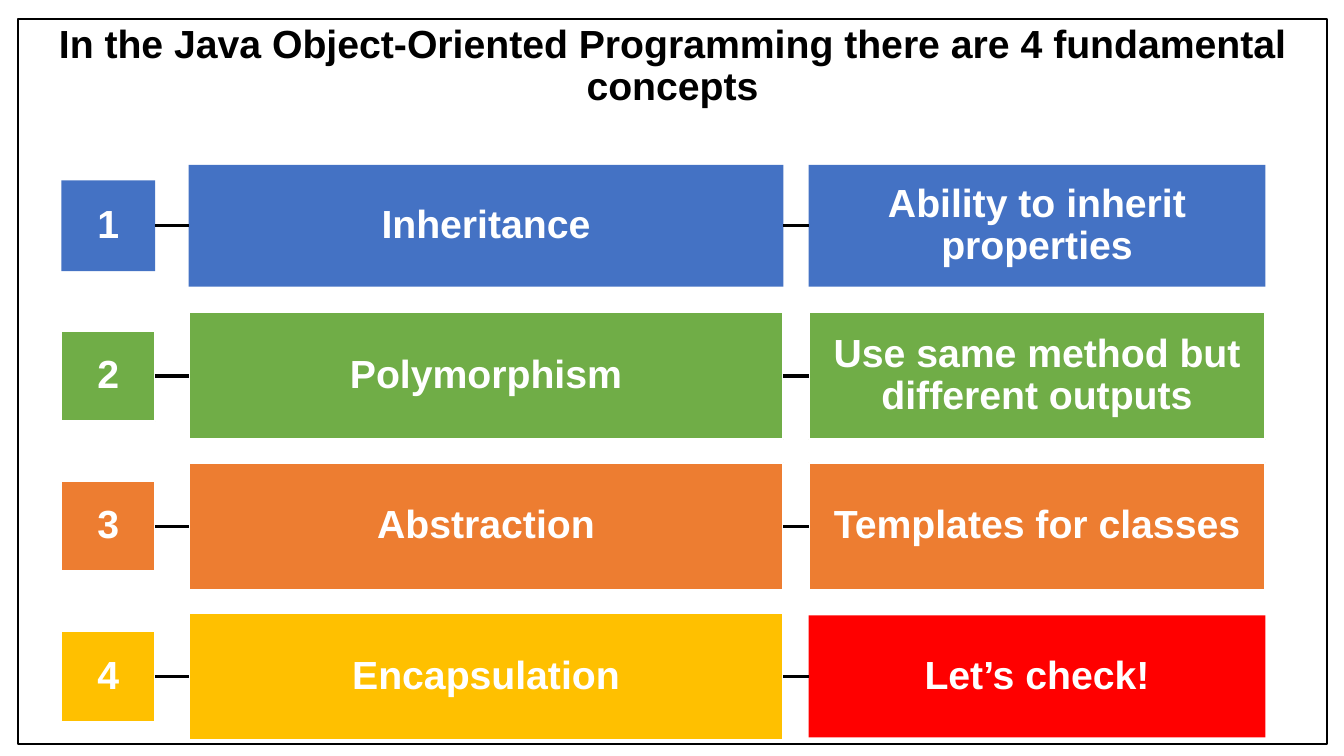
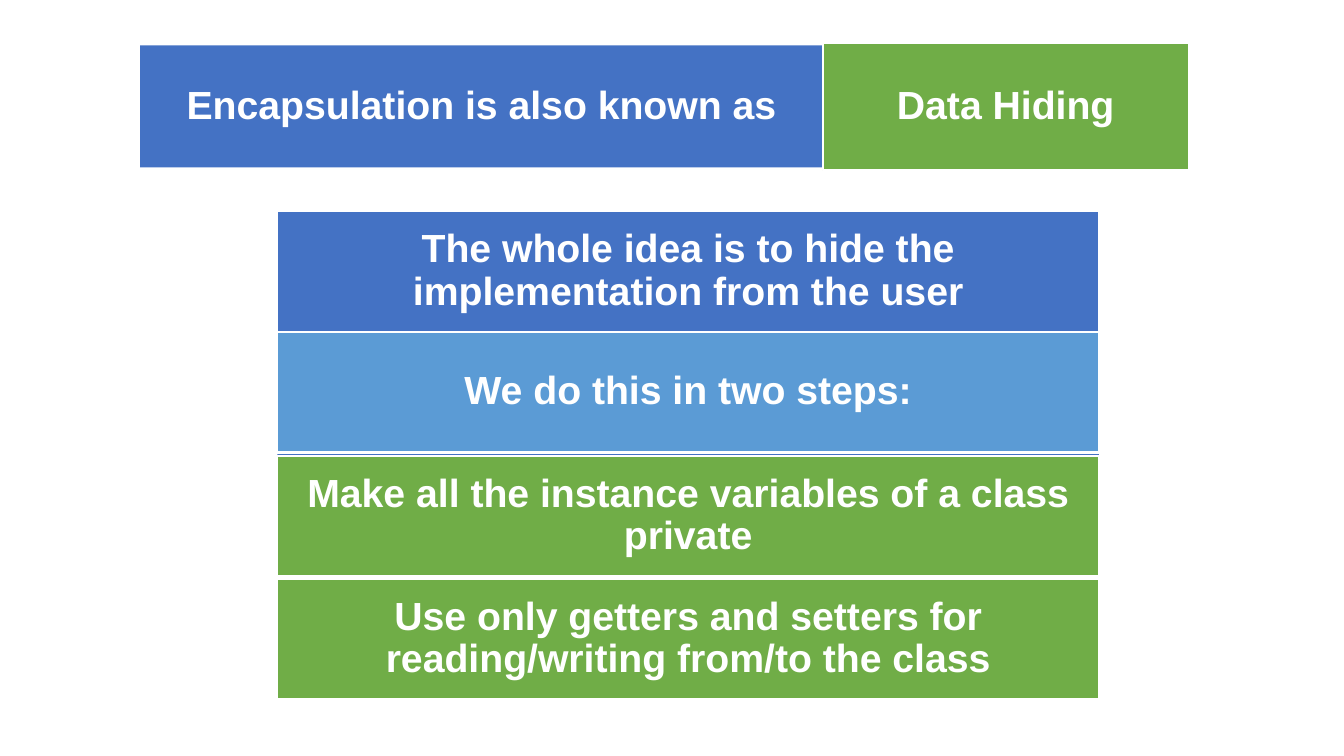
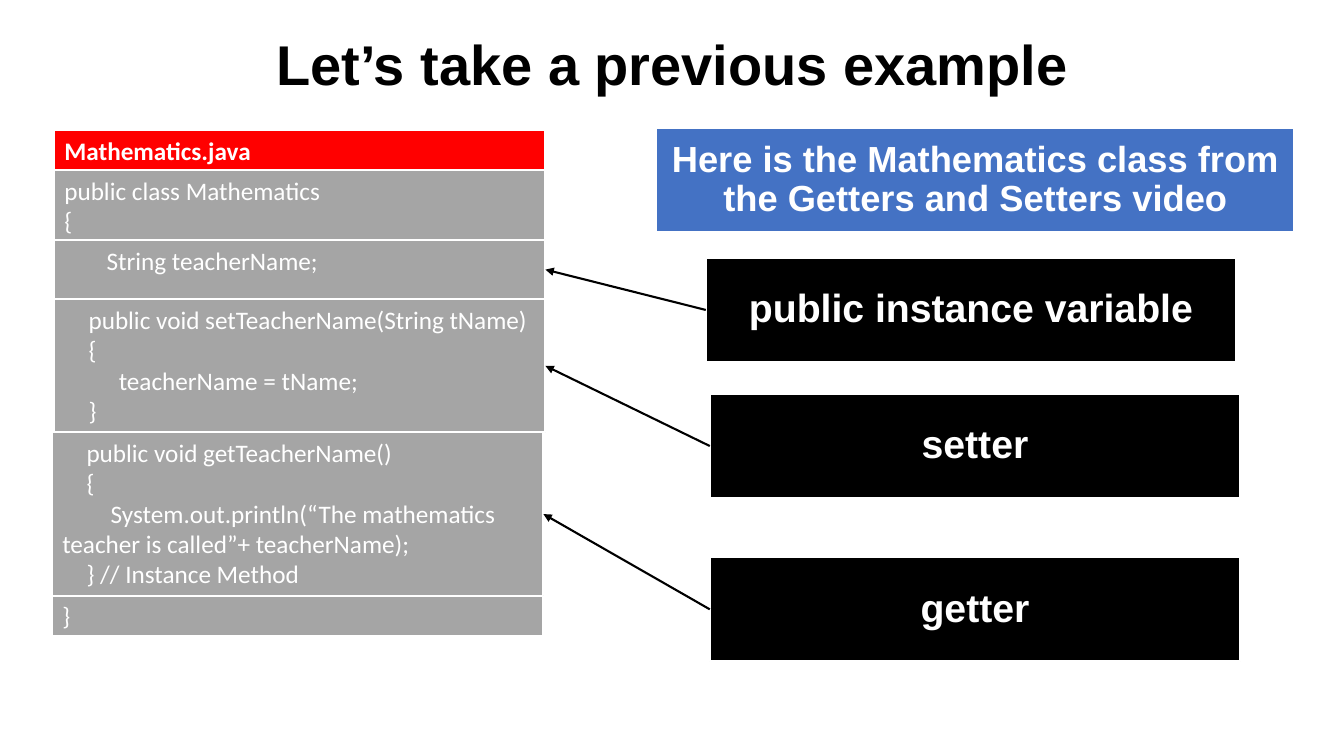
import lxml.etree
import pptx
import pptx.dml.color
import pptx.enum.shapes
import pptx.enum.text
import pptx.oxml.ns
import pptx.util

BLUE, SKY, GREEN = "4472C4", "5B9BD5", "70AD47"
ORANGE, YELLOW, RED = "ED7D31", "FFC000", "FF0000"
GRAY, BLACK, WHITE = "A5A5A5", "000000", "FFFFFF"
WIDTH, HEIGHT = 13.33, 7.5
LEFT, RIGHT = 1, 3
SPACE = 0.06
ALIGN = pptx.enum.text.PP_ALIGN
ANCHOR = pptx.enum.text.MSO_ANCHOR
inch = pptx.util.Inches
qn = pptx.oxml.ns.qn


def rgb(color):
    return pptx.dml.color.RGBColor.from_string(color)


def paint(sp, fill=None, line=None):
    if fill:
        sp.fill.solid()
        sp.fill.fore_color.rgb = rgb(fill)
    else:
        sp.fill.background()
    if line:
        sp.line.color.rgb = rgb(line)
        sp.line.width = pptx.util.Pt(1.5)
    else:
        sp.line.fill.background()


def write(sp, text, size=28, color=WHITE, font="Arial", bold=True,
          align=ALIGN.CENTER, anchor=ANCHOR.MIDDLE, spacing=0.9):
    tf = sp.text_frame
    tf.text = text
    tf.word_wrap = True
    tf.auto_size = pptx.enum.text.MSO_AUTO_SIZE.NONE
    tf.vertical_anchor = anchor
    for p in tf.paragraphs:
        p.alignment = align
        p.line_spacing = spacing
        for r in p.runs:
            r.font.size = pptx.util.Pt(size)
            r.font.name = font
            r.font.bold = bold
            r.font.color.rgb = rgb(color)


def add_title(s, box, text, fill=None, line=None, **style):
    sp = s.shapes.title
    sp.left, sp.top, sp.width, sp.height = map(inch, box)
    paint(sp, fill, line)
    write(sp, text, **style)


def add_box(s, box, text, fill, line=WHITE, **style):
    rect = pptx.enum.shapes.MSO_SHAPE.RECTANGLE
    sp = s.shapes.add_shape(rect, *map(inch, box))
    sp.shadow.inherit = False
    paint(sp, fill, line)
    if text:
        write(sp, text, **style)
    return sp


def join(s, start, start_side, end, end_side, width, arrow=False):
    straight = pptx.enum.shapes.MSO_CONNECTOR.STRAIGHT
    c = s.shapes.add_connector(straight, 0, 0, 0, 0)
    c.begin_connect(start, start_side)
    c.end_connect(end, end_side)
    c.line.color.rgb = rgb(BLACK)
    c.line.width = pptx.util.Pt(width)
    if arrow:
        ln = c.line._get_or_add_ln()
        lxml.etree.SubElement(ln, qn("a:tailEnd"), type="triangle")
    lxml.etree.SubElement(c._element.spPr, qn("a:effectLst"))


def concept_row(s, left, middle, number, concept, detail, color, detail_color):
    boxes = []
    for x, w, text, fill in ((0, 0.93, number, color),
                             (1.26, 5.9, concept, color),
                             (7.41, 4.53, detail, detail_color)):
        plain = fill in (BLUE, RED)
        h = 0.9 if text == number else 1.21 if plain else 1.26
        boxes.append(add_box(s, (left + x, middle - h / 2, w, h), text, fill,
                             None if plain else WHITE))
    for start, end in zip(boxes, boxes[1:]):
        join(s, start, RIGHT, end, LEFT, 2.25)


def concepts_slide(s):
    add_title(s, (0.18, 0.19, 12.98, 7.19),
              "In the Java Object-Oriented Programming there are 4 fundamental concepts",
              line=BLACK, color=BLACK, anchor=ANCHOR.TOP)
    rows = (
        ("Inheritance", "Ability to inherit properties", BLUE, BLUE),
        ("Polymorphism", "Use same method but different outputs", GREEN, GREEN),
        ("Abstraction", "Templates for classes", ORANGE, ORANGE),
        ("Encapsulation", "Let’s check!", YELLOW, RED),
    )
    for i, row in enumerate(rows):
        concept_row(s, 0.61, 2.24 + 1.49 * i, str(i + 1), *row)


def hiding_slide(s):
    add_title(s, (1.39, 0.45, 6.77, 1.21), "Encapsulation is also known as", BLUE)
    add_box(s, (8.16, 0.43, 3.63, 1.26), "Data Hiding", GREEN)
    left, top, width, height = 2.75, 2.09, 8.15, 4.85
    add_box(s, (left, top, width, height), "", BLUE, None)
    for y, text, fill in (
        (0, "The whole idea is to hide the implementation from the user", BLUE),
        (1.2, "We do this in two steps:", SKY),
        (2.43, "Make all the instance variables of a class private", GREEN),
        (3.65, "Use only getters and setters for reading/writing from/to the class", GREEN),
    ):
        add_box(s, (left, top + y, width, 1.2), text, fill)


def code_listing(s, left, top, width):
    blocks = (
        (0, 0.4, RED, ((0, "Mathematics.java"),)),
        (0, 0.69, GRAY, ((0, "public class Mathematics"), (0, "{"))),
        (0, 0.59, GRAY, ((7, "String teacherName;"),)),
        (0, 1.32, GRAY, ((4, "public void setTeacherName(String tName)"), (4, "{"),
                         (9, "teacherName = tName;"), (4, "}"))),
        (-0.02, 1.62, GRAY, ((4, "public void getTeacherName()"), (4, "{"),
                             (8, "System.out.println(“The mathematics teacher is called”+ teacherName);"),
                             (4, "} // Instance Method"))),
        (-0.02, 0.4, GRAY, ((0, "}"),)),
    )
    boxes = []
    for shift, height, fill, lines in blocks:
        sp = add_box(s, (left + shift, top, width, height),
                     "\n".join(text for _, text in lines), fill, size=18,
                     font="Calibri", bold=fill == RED, align=ALIGN.LEFT,
                     anchor=ANCHOR.TOP, spacing=1.0)
        for p, (indent, _) in zip(sp.text_frame.paragraphs, lines):
            pPr = p._p.get_or_add_pPr()
            pPr.set("marL", "0")
            pPr.set("indent", str(inch(indent * SPACE)))
        boxes.append(sp)
        top += height
    return boxes


def example_slide(s):
    add_title(s, (0, 0, WIDTH, 1.33), "Let’s take a previous example",
              size=40, color=BLACK)
    variable, setter, getter = code_listing(s, 0.54, 1.29, 4.87)[2:5]
    add_box(s, (6.51, 1.27, 6.33, 1.03),
            "Here is the Mathematics class from the Getters and Setters video",
            BLUE, size=25.9)
    for x, y, text, target in ((7, 2.56, "public instance variable", variable),
                               (7.04, 3.91, "setter", setter),
                               (7.04, 5.53, "getter", getter)):
        label = add_box(s, (x, y, 5.26, 1.03), text, BLACK)
        join(s, label, LEFT, target, RIGHT, 1.5, arrow=True)


def main():
    prs = pptx.Presentation()
    prs.slide_width, prs.slide_height = inch(WIDTH), inch(HEIGHT)
    title_only = prs.slide_layouts.get_by_name("Title Only")
    for build in (concepts_slide, hiding_slide, example_slide):
        build(prs.slides.add_slide(title_only))
    prs.save("out.pptx")


if __name__ == "__main__":
    main()
